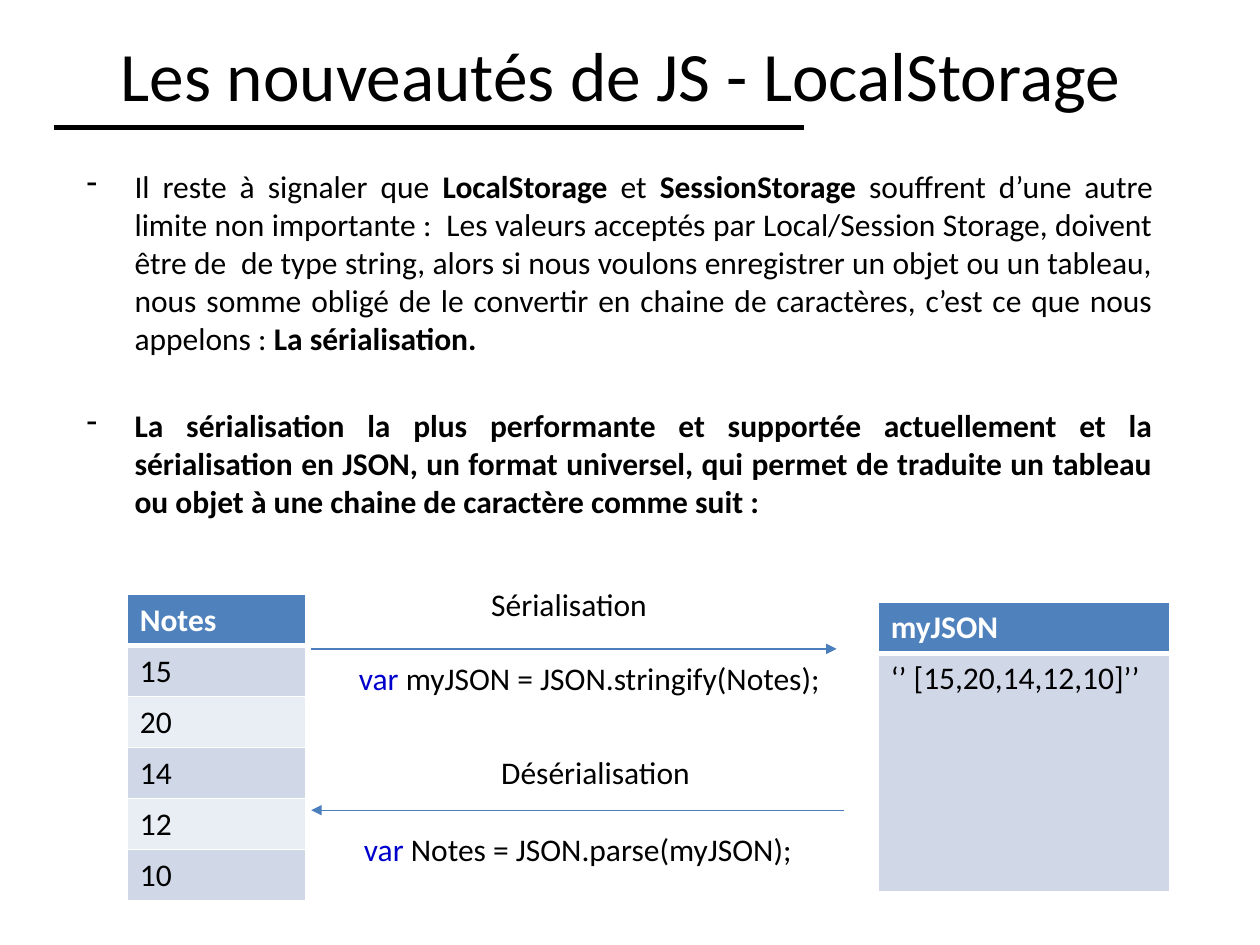
import pptx
import pptx.dml.color
import pptx.enum.dml
import pptx.enum.shapes
import pptx.enum.text
import pptx.oxml
import pptx.oxml.ns
import pptx.util

RGBColor = pptx.dml.color.RGBColor
BLACK = RGBColor(0x00, 0x00, 0x00)
WHITE = RGBColor(0xFF, 0xFF, 0xFF)
KEYWORD_BLUE = RGBColor(0x00, 0x00, 0xCD)
ARROW_BLUE = RGBColor(0x4B, 0x7E, 0xBC)
HEADER_BLUE = RGBColor(0x4F, 0x81, 0xBD)
BANDS = (RGBColor(0xD0, 0xD8, 0xE8), RGBColor(0xE9, 0xED, 0xF4))

FONT = "Calibri"
TEXT_SIZE = 18
WIDTH = pptx.util.Inches(10)
HEIGHT = pptx.util.Inches(7.5)
COLUMNS, ROWS = 100, 75  # layout grid of the slide

BODY = [
    [
        ("Il reste à signaler que ", False),
        ("LocalStorage", True),
        (" et ", False),
        ("SessionStorage", True),
        (" souffrent d’une autre limite non importante :  Les valeurs acceptés par "
         "Local/Session Storage, doivent être de  de type string, alors si nous voulons "
         "enregistrer un objet ou un tableau, nous somme obligé de le convertir en chaine "
         "de caractères, c’est ce que nous appelons : ", False),
        ("La sérialisation.", True),
    ],
    [
        ("La sérialisation la plus performante et supportée actuellement et la "
         "sérialisation en JSON, un format universel, qui permet de traduite un tableau "
         "ou objet à une chaine de caractère comme suit : ", True),
    ],
]


def across(columns):
    return round(WIDTH * columns / COLUMNS)


def down(rows):
    return round(HEIGHT * rows / ROWS)


def place(left, top, width, height):
    return across(left), down(top), across(width), down(height)


def add_run(paragraph, text, color=BLACK, bold=False, size=TEXT_SIZE):
    run = paragraph.add_run()
    run.text = text
    run.font.name = FONT
    run.font.size = pptx.util.Pt(size)
    run.font.bold = bold
    run.font.color.rgb = color


def add_line(slide, start, end, color, width, arrow=False):
    line = slide.shapes.add_connector(
        pptx.enum.shapes.MSO_CONNECTOR.STRAIGHT,
        across(start[0]), down(start[1]), across(end[0]), down(end[1]))
    line.line.color.rgb = color
    line.line.width = pptx.util.Pt(width)
    if arrow:
        head = pptx.oxml.ns.qn("a:tailEnd")
        line.line._get_or_add_ln().append(
            line._element.makeelement(head, {"type": "triangle"}))
    properties = line._element.spPr
    properties.append(properties.makeelement(pptx.oxml.ns.qn("a:effectLst"), {}))


def add_title(slide, text):
    frame = slide.shapes.add_textbox(*place(2.8, 3.5, 92.9, 4.7)).text_frame
    frame.word_wrap = True
    frame.vertical_anchor = pptx.enum.text.MSO_ANCHOR.MIDDLE
    paragraph = frame.paragraphs[0]
    paragraph.alignment = pptx.enum.text.PP_ALIGN.CENTER
    add_run(paragraph, text, size=39.6)


def add_body(slide, items):
    frame = slide.shapes.add_textbox(*place(5.9, 12.8, 86.6, 50.4)).text_frame
    frame.word_wrap = True
    for index, runs in enumerate(items):
        paragraph = frame.add_paragraph() if index else frame.paragraphs[0]
        properties = paragraph._p.get_or_add_pPr()
        properties.set("marL", str(across(3.8)))
        properties.set("indent", str(-across(3.8)))
        properties.append(properties.makeelement(
            pptx.oxml.ns.qn("a:buChar"), {"char": "-"}))
        paragraph.alignment = pptx.enum.text.PP_ALIGN.JUSTIFY
        if index:
            paragraph.space_before = pptx.util.Pt(28.6)
        for text, bold in runs:
            add_run(paragraph, text, bold=bold)


def add_label(slide, left, top, width, runs):
    frame = slide.shapes.add_textbox(*place(left, top, width, 4)).text_frame
    frame.word_wrap = False
    for text, color in runs:
        add_run(frame.paragraphs[0], text, color)


def set_borders(cell, bottom_width):
    properties = cell._tc.get_or_add_tcPr()
    namespace = pptx.oxml.ns.nsdecls("a")
    sides = (("lnL", 1), ("lnR", 1), ("lnT", 1), ("lnB", bottom_width))
    for position, (side, width) in enumerate(sides):
        properties.insert(position, pptx.oxml.parse_xml(
            f'<a:{side} {namespace} w="{pptx.util.Pt(width)}"><a:solidFill>'
            f'<a:srgbClr val="{WHITE}"/></a:solidFill></a:{side}>'))


def add_data_table(slide, left, top, width, texts, heights):
    box = place(left, top, width, sum(heights))
    table = slide.shapes.add_table(len(texts), 1, *box).table
    for index, (text, height) in enumerate(zip(texts, heights)):
        header = index == 0
        table.rows[index].height = down(height)
        cell = table.cell(index, 0)
        cell.fill.solid()
        cell.fill.fore_color.rgb = HEADER_BLUE if header else BANDS[(index - 1) % 2]
        set_borders(cell, 3 if header else 1)
        add_run(cell.text_frame.paragraphs[0], text,
                WHITE if header else BLACK, bold=header)


def main():
    presentation = pptx.Presentation()
    presentation.slide_width = WIDTH
    presentation.slide_height = HEIGHT
    slide = presentation.slides.add_slide(presentation.slide_layouts[6])

    # Heading and explanation
    add_line(slide, (4.3, 10.1), (63.8, 10.1), BLACK, 3)
    add_title(slide, "Les nouveautés de JS - LocalStorage")
    add_body(slide, BODY)

    # Array and its JSON string
    notes = ["Notes", "15", "20", "14", "12", "10"]
    add_data_table(slide, 10.1, 47.2, 14.2, notes, [4.05] * len(notes))
    add_data_table(slide, 69.7, 47.8, 23.1,
                   ["myJSON", "‘’ [15,20,14,12,10]’’"], [4.05, 18.95])

    # Serialisation, left to right
    add_line(slide, (24.7, 51.5), (66.4, 51.5), ARROW_BLUE, 0.75, arrow=True)
    add_label(slide, 38, 45.9, 15.1, [("Sérialisation", BLACK)])
    add_label(slide, 27.5, 51.8, 39.6,
              [("var ", KEYWORD_BLUE), ("myJSON = JSON.stringify(Notes);", BLACK)])

    # Deserialisation, right to left
    add_line(slide, (67, 64.3), (24.7, 64.3), ARROW_BLUE, 0.75, arrow=True)
    add_label(slide, 38.8, 59.3, 17.7, [("Désérialisation", BLACK)])
    add_label(slide, 27.9, 65.4, 36.9,
              [("var", KEYWORD_BLUE), (" Notes = JSON.parse(myJSON);", BLACK)])

    presentation.save("out.pptx")


if __name__ == "__main__":
    main()
